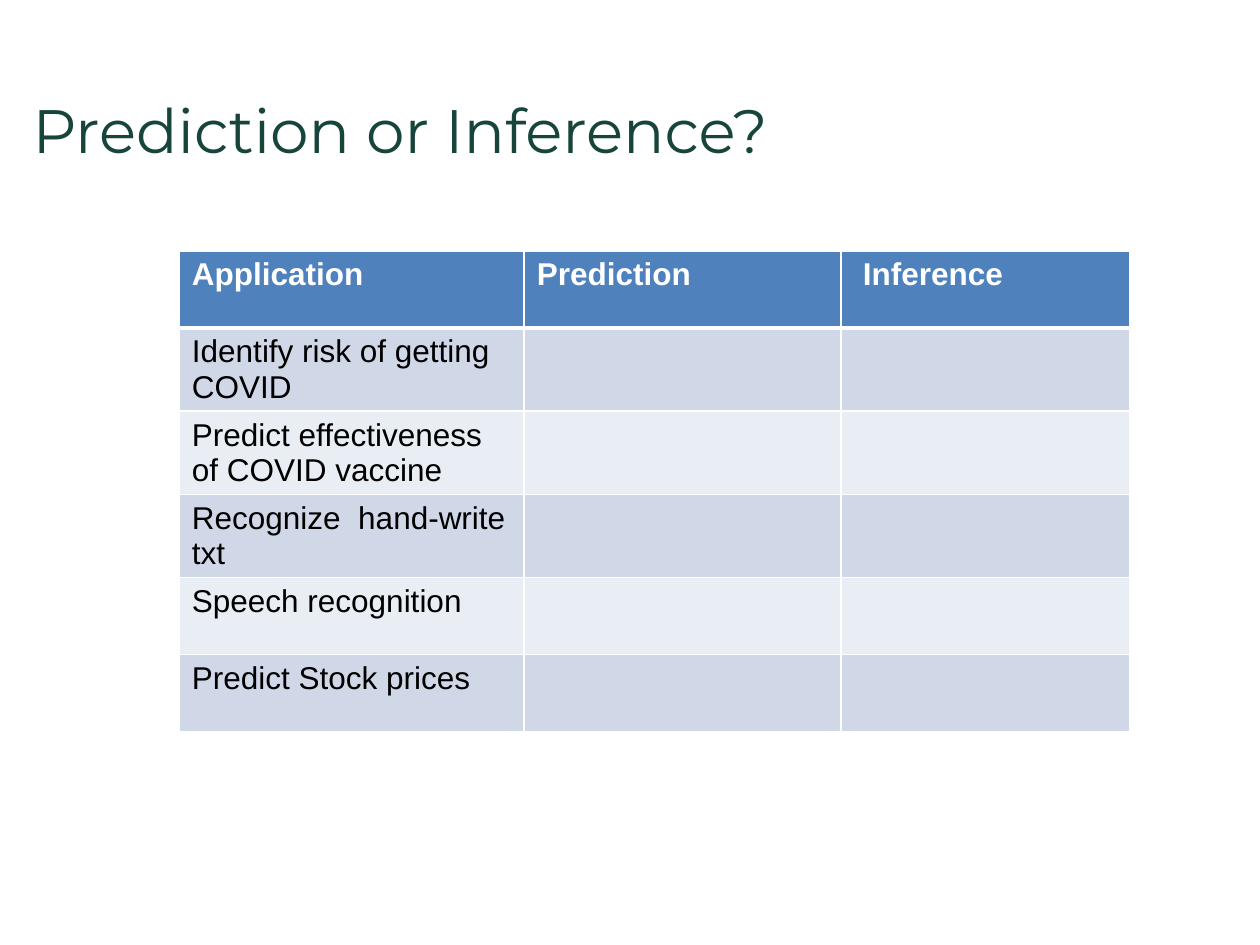
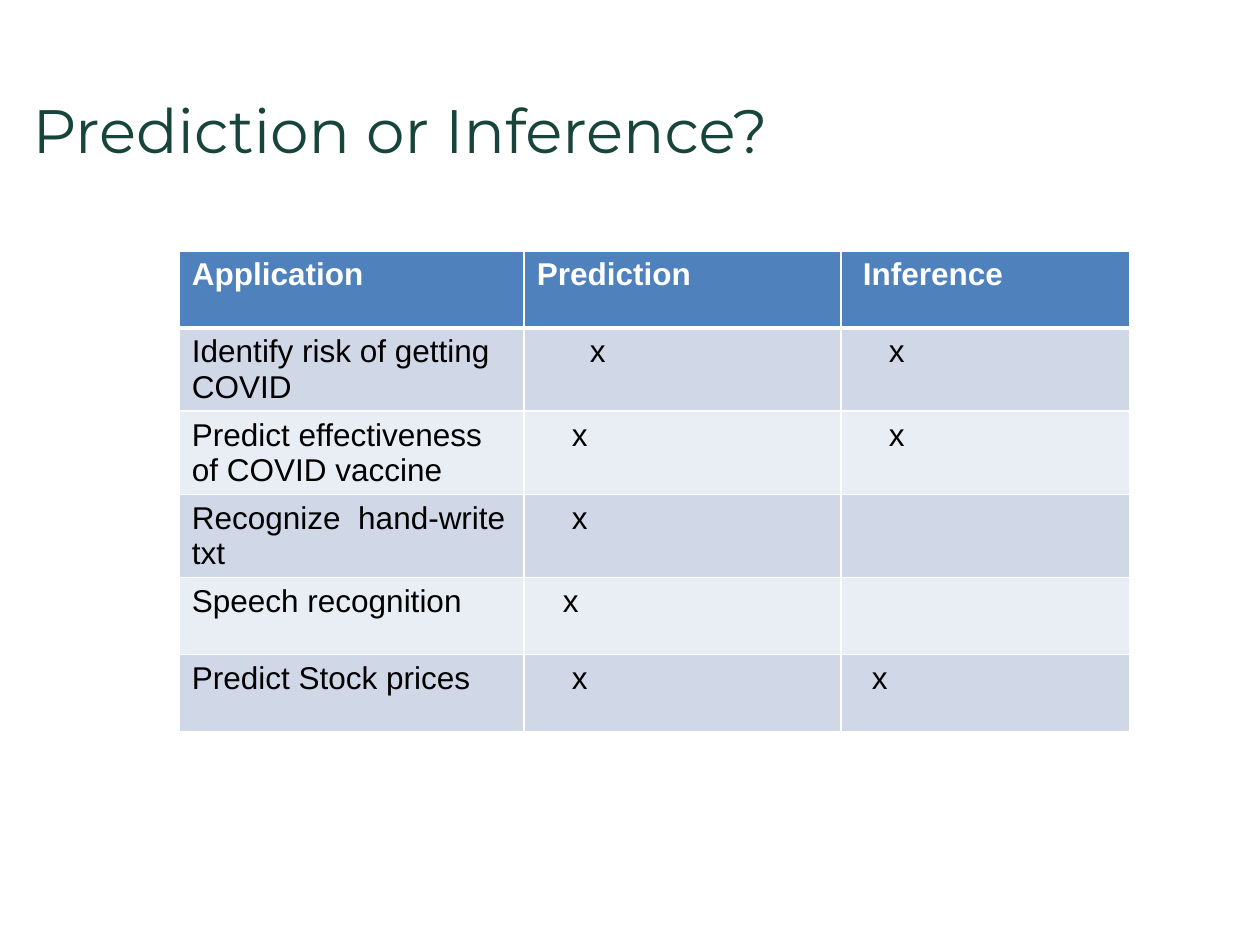
from dataclasses import dataclass

from lxml import etree
from pptx import Presentation
from pptx import util as u
from pptx.dml.color import RGBColor
from pptx.enum import text
from pptx.oxml.ns import qn

EMU_PER_PX = 914400 / 126


@dataclass(frozen=True)
class Theme:
    """Colours, fonts and sizes that the slides share."""
    title_font: str = "Montserrat"
    table_font: str = "Arial"
    title_size: int = 35
    table_size: int = 18
    green: str = "18453B"
    blue: str = "4F81BD"
    bands: tuple = ("D0D8E8", "E9EDF4")
    white: str = "FFFFFF"
    black: str = "000000"
    thin: int = 1
    thick: int = 3


THEME = Theme()
TITLE = "Prediction or Inference?"
HEADINGS = (("Application", 0), ("Prediction", 0), ("Inference", 9))
APPLICATIONS = (
    "Identify risk of getting COVID",
    "Predict effectiveness of COVID vaccine",
    "Recognize  hand-write txt",
    "Speech recognition",
    "Predict Stock prices",
)
NO_MARKS = ((None, None),) * len(APPLICATIONS)
MARK_INDENTS = ((53, 35), (35, 35), (35, None), (26, None), (35, 18))
COLUMN_WIDTHS = (345, 317, 289)
ROW_HEIGHT = 77
CELL_INSET = 13


def px(length):
    """Turn whole pixels into EMU."""
    return u.Emu(round(length * EMU_PER_PX))


def add_span(para, words, font, size, color, bold=False):
    """Add one formatted run to a paragraph."""
    span = para.add_run()
    span.text = words
    span.font.name = font
    span.font.size = u.Pt(size)
    span.font.bold = bold
    span.font.color.rgb = RGBColor.from_string(color)


def add_title(slide, words):
    """Place the title placeholder and write its text."""
    box = slide.shapes.title
    box.left, box.top, box.width, box.height = map(px, (20, 86, 892, 136))
    frame = box.text_frame
    frame.word_wrap = True
    frame.auto_size = text.MSO_AUTO_SIZE.NONE
    frame.vertical_anchor = text.MSO_ANCHOR.TOP
    para = frame.paragraphs[0]
    para.alignment = text.PP_ALIGN.LEFT
    add_span(para, words, THEME.title_font, THEME.title_size, THEME.green)


def set_borders(cell, top, bottom):
    """Give a cell white borders with the given top and bottom widths."""
    properties = cell._tc.get_or_add_tcPr()
    widths = {"L": THEME.thin, "R": THEME.thin, "T": top, "B": bottom}
    for position, (side, width) in enumerate(widths.items()):
        line = etree.Element(qn(f"a:ln{side}"), w=str(u.Pt(width)))
        fill = etree.SubElement(line, qn("a:solidFill"))
        etree.SubElement(fill, qn("a:srgbClr"), val=THEME.white)
        properties.insert(position, line)


def fill_cell(cell, row, words, indent):
    """Style one cell by its row and write its text."""
    header = row == 0
    fill = THEME.blue if header else THEME.bands[(row - 1) % 2]
    cell.fill.solid()
    cell.fill.fore_color.rgb = RGBColor.from_string(fill)
    cell.margin_left = px(CELL_INSET + indent)
    set_borders(cell, THEME.thick if row == 1 else THEME.thin,
                THEME.thick if header else THEME.thin)
    para = cell.text_frame.paragraphs[0]
    para.font.size = u.Pt(THEME.table_size)
    if words:
        add_span(para, words, THEME.table_font, THEME.table_size,
                 THEME.white if header else THEME.black, header)


def mark_entry(indent):
    """Return the text and indent of a marked or empty cell."""
    return ("", 0) if indent is None else ("x", indent)


def add_application_table(slide, marks):
    """Add the table of applications with its marks."""
    entries = [HEADINGS]
    for application, indents in zip(APPLICATIONS, marks):
        entries.append([(application, 0), *map(mark_entry, indents)])
    table = slide.shapes.add_table(
        len(entries), len(HEADINGS), px(179), px(251),
        px(sum(COLUMN_WIDTHS)), px(ROW_HEIGHT * len(entries))).table
    table.first_row = table.horz_banding = False
    for column, width in zip(table.columns, COLUMN_WIDTHS):
        column.width = px(width)
    for row, row_entries in enumerate(entries):
        table.rows[row].height = px(ROW_HEIGHT)
        for column, (words, indent) in enumerate(row_entries):
            fill_cell(table.cell(row, column), row, words, indent)


def main():
    """Build the question slide and the answer slide."""
    deck = Presentation()
    deck.slide_width, deck.slide_height = px(1260), px(945)
    for marks in (NO_MARKS, MARK_INDENTS):
        page = deck.slides.add_slide(deck.slide_layouts[5])
        add_title(page, TITLE)
        add_application_table(page, marks)
    deck.save("out.pptx")


if __name__ == "__main__":
    main()
